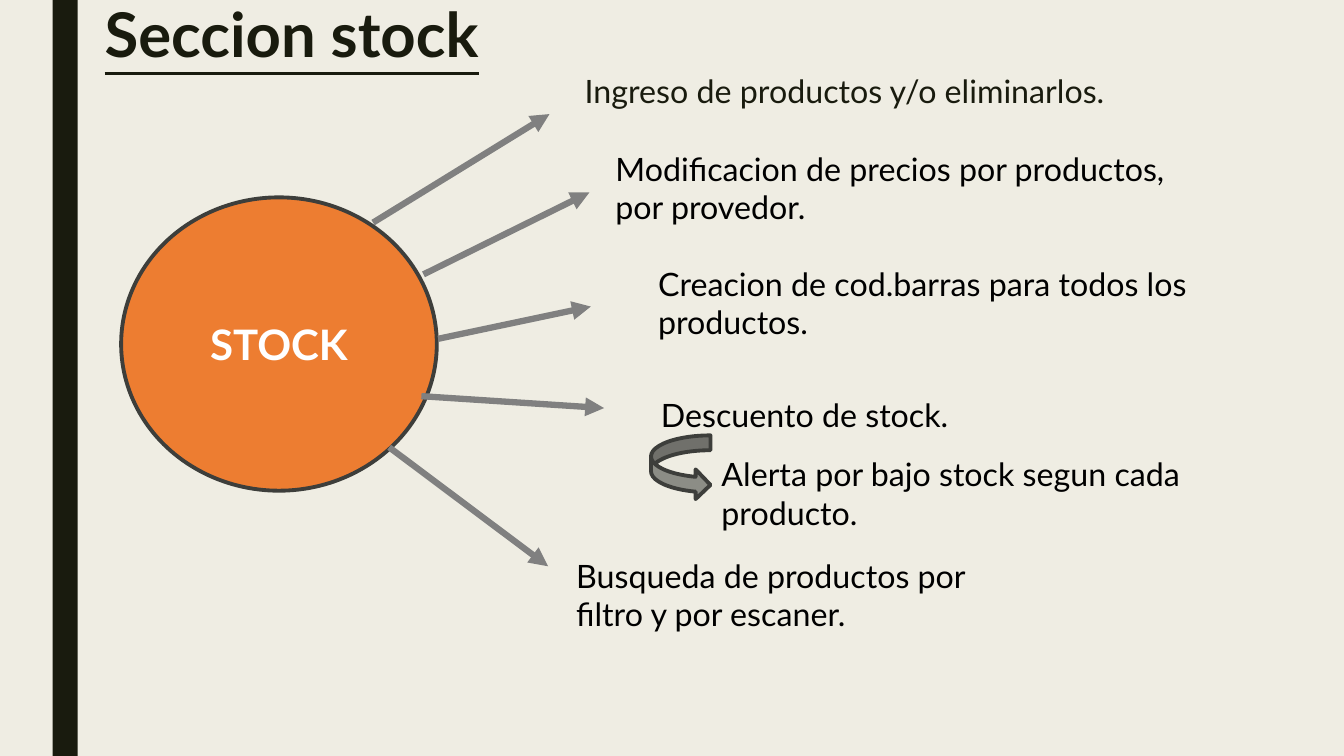
from pptx import Presentation
from pptx.dml.color import RGBColor
from pptx.enum.shapes import MSO_CONNECTOR, MSO_SHAPE
from pptx.enum.text import MSO_ANCHOR, PP_ALIGN
from pptx.oxml.ns import qn
from pptx.util import Pt
from lxml.etree import SubElement

COLORS = {"background": "EFEDE3", "dark": "191B0E", "black": "000000",
          "white": "FFFFFF", "stock": "ED7D31", "outline": "3D3E3B",
          "alert": "8C8D86", "arrow": "808080"}


def write(frame, text, size, color, bold=False):
    frame.word_wrap = True
    frame.text = text
    font = frame.paragraphs[0].runs[0].font
    font.name, font.size, font.bold = "Lato", Pt(size), bold
    font.color.rgb = RGBColor.from_string(COLORS[color])
    return font


def add_solid(kind, box, fill, outline=None):
    solid = slide.shapes.add_shape(kind, *[Pt(v) for v in box])
    solid.shadow.inherit = False
    solid.fill.solid()
    solid.fill.fore_color.rgb = RGBColor.from_string(COLORS[fill])
    if outline:
        solid.line.color.rgb = RGBColor.from_string(COLORS[outline])
        solid.line.width = Pt(2.75)
    else:
        solid.line.fill.background()
    return solid


prs = Presentation()
prs.slide_width, prs.slide_height = Pt(960), Pt(540)
slide = prs.slides.add_slide(prs.slide_layouts[5])
slide.background.fill.solid()
slide.background.fill.fore_color.rgb = RGBColor.from_string(COLORS["background"])

# Side bar
add_solid(MSO_SHAPE.RECTANGLE, (37.5, 0, 18, 540), "dark")

# Title
title = slide.shapes.title
title.left, title.top, title.width, title.height = Pt(67.5), Pt(0), Pt(286.5), Pt(61)
title_font = write(title.text_frame, "Seccion stock", 44, "dark", bold=True)
title_font.underline = True
title.text_frame.vertical_anchor = MSO_ANCHOR.TOP
title.text_frame.paragraphs[0].alignment = PP_ALIGN.LEFT
title.text_frame.paragraphs[0].line_spacing = 0.89

# Central circle
stock = add_solid(MSO_SHAPE.OVAL, (86.5, 141, 225.5, 209.5), "stock", "outline")
write(stock.text_frame, "STOCK", 30, "white", bold=True)
stock.text_frame.vertical_anchor = MSO_ANCHOR.MIDDLE
stock.text_frame.paragraphs[0].alignment = PP_ALIGN.CENTER

# Stock functions: text, left, top, width, height, colour
functions = [
    ("Ingreso de productos y/o eliminarlos.", 410.5, 47.5, 441.5, 35, "dark"),
    ("Modificacion de precios por productos, por provedor.", 432.5, 103, 442, 63.5, "black"),
    ("Creacion de cod.barras para todos los productos.", 463, 185, 401, 63.5, "black"),
    ("Descuento de stock.", 465, 278.5, 340, 35, "black"),
    ("Alerta por bajo stock segun cada producto.", 508.25, 321, 356.5, 63.5, "black"),
    ("Busqueda de productos por filtro y por escaner.", 404.5, 393.5, 317, 63.5, "black"),
]
for text, left, top, width, height, color in functions:
    function = slide.shapes.add_textbox(Pt(left), Pt(top), Pt(width), Pt(height))
    write(function.text_frame, text, 23, color)

# Curved arrow from the stock discount to its alert
add_solid(MSO_SHAPE.CURVED_RIGHT_ARROW, (465, 311, 42.5, 46), "alert", "outline")

# Arrows from the circle to the functions
arrows = [
    (266.5, 159, 392.5, 81.5),
    (302.5, 196, 421, 137.5),
    (313, 242, 422, 219),
    (301, 283, 431.5, 291.5),
    (278, 319.5, 391.5, 404.5),
]
for ends in arrows:
    arrow = slide.shapes.add_connector(MSO_CONNECTOR.STRAIGHT, *[Pt(v) for v in ends])
    arrow.line.color.rgb = RGBColor.from_string(COLORS["arrow"])
    arrow.line.width = Pt(4.5)
    SubElement(arrow.line._get_or_add_ln(), qn("a:tailEnd"), type="triangle")
    SubElement(arrow._element.spPr, qn("a:effectLst"))

prs.save("out.pptx")
